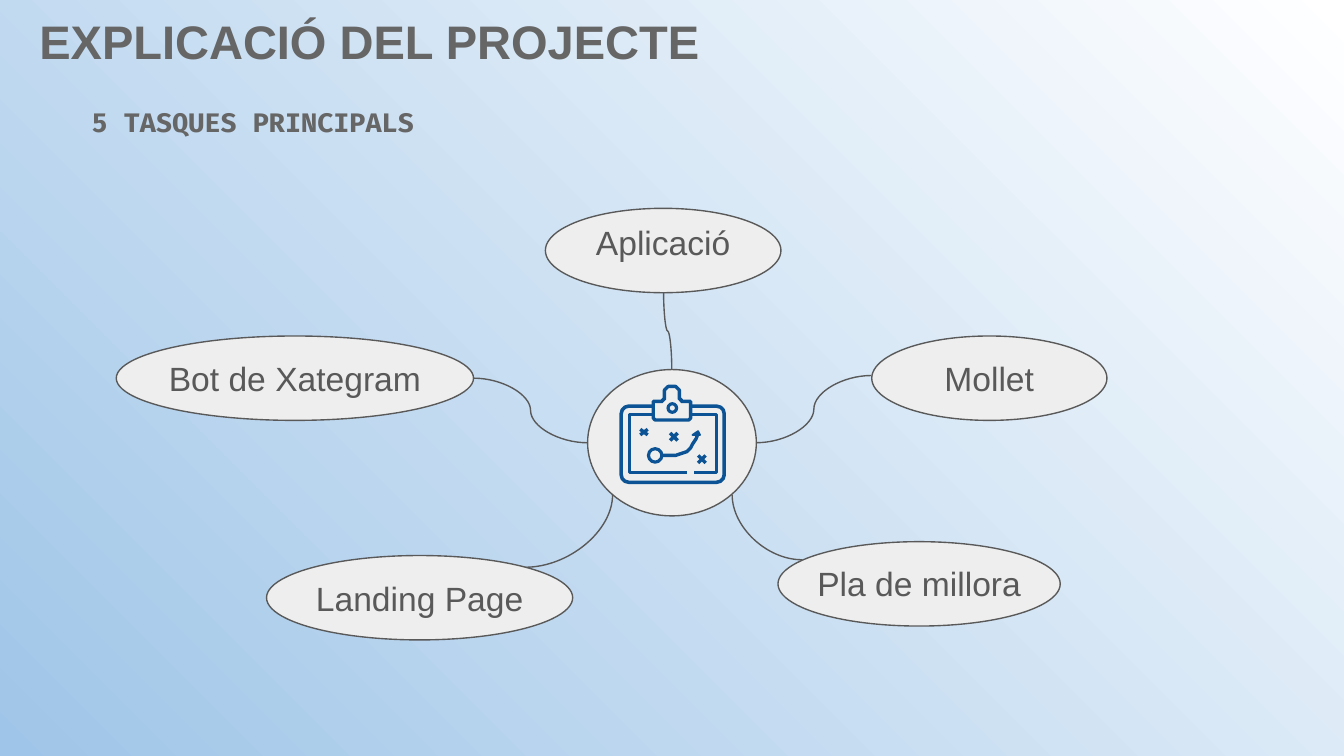
from lxml.etree import SubElement
from pptx import Presentation
from pptx.dml.color import RGBColor
from pptx.enum.shapes import MSO_CONNECTOR, MSO_SHAPE
from pptx.enum.text import MSO_ANCHOR, PP_ALIGN
from pptx.oxml.ns import qn
from pptx.util import Pt

COLOURS = {
    "light": "FFFFFF",
    "sky": "9FC5E8",
    "node": "EEEEEE",
    "outline": "595959",
    "heading": "666666",
    "icon": "0B5394",
}


def colour(name):
    return RGBColor.from_string(COLOURS[name])


def bend(start, control, end, steps=8):
    points = []
    for step in range(steps + 1):
        t = step / steps
        points.append(tuple(
            (1 - t) ** 2 * a + 2 * t * (1 - t) * b + t ** 2 * c
            for a, b, c in zip(start, control, end)
        ))
    return points


class Sketch:
    label = {"name": "Arial", "size": Pt(18), "bold": False}
    title = {"name": "Arial", "size": Pt(25.2), "bold": True}
    subtitle = {"name": "Fira Code", "size": Pt(14), "bold": True}
    line_width = 0.75

    def __init__(self, page):
        self.page = page

    def background(self, start, end, angle):
        fill = self.page.background.fill
        fill.gradient()
        fill.gradient_angle = angle
        for stop, name in zip(fill.gradient_stops, (start, end)):
            stop.color.rgb = colour(name)

    def paint(self, shape, fill, line, width):
        shape.shadow.inherit = False
        if fill:
            shape.fill.solid()
            shape.fill.fore_color.rgb = colour(fill)
        else:
            shape.fill.background()
        if line:
            shape.line.color.rgb = colour(line)
            shape.line.width = Pt(width)
        else:
            shape.line.fill.background()
        return shape

    def shape(self, kind, left, top, width, height, fill="node", line="outline", weight=line_width):
        shape = self.page.shapes.add_shape(kind, Pt(left), Pt(top), Pt(width), Pt(height))
        return self.paint(shape, fill, line, weight)

    def outline(self, points, closed=False, fill=None, line="icon", weight=1.8):
        builder = self.page.shapes.build_freeform(*points[0], scale=Pt(1))
        builder.add_line_segments(points[1:], close=closed)
        return self.paint(builder.convert_to_shape(), fill, line, weight)

    def text(self, words, left, top, width, height, style, ink, align=PP_ALIGN.CENTER, inset=7.2):
        box = self.page.shapes.add_textbox(Pt(left), Pt(top), Pt(width), Pt(height))
        frame = box.text_frame
        settings = {
            "word_wrap": True,
            "vertical_anchor": MSO_ANCHOR.TOP,
            "margin_left": Pt(7.2),
            "margin_right": Pt(7.2),
            "margin_top": Pt(inset),
            "margin_bottom": Pt(7.2),
        }
        for key, value in settings.items():
            setattr(frame, key, value)
        para = frame.paragraphs[0]
        para.alignment = align
        span = para.add_run()
        span.text = words
        for key, value in style.items():
            setattr(span.font, key, value)
        span.font.color.rgb = colour(ink)

    def curve(self, begin, end, preset="curvedConnector3", turn=0):
        connector = self.page.shapes.add_connector(
            MSO_CONNECTOR.CURVE, *(Pt(value) for value in (*begin, *end))
        )
        connector.line.color.rgb = colour("outline")
        connector.line.width = Pt(self.line_width)
        properties = connector._element.spPr
        properties.find(qn("a:prstGeom")).set("prst", preset)
        if turn:
            properties.find(qn("a:xfrm")).set("rot", str(turn * 60000))
        SubElement(properties, qn("a:effectLst"))

    def clipboard(self):
        pen = {"fill": None, "line": "icon"}
        board = self.shape(MSO_SHAPE.ROUNDED_RECTANGLE, 332.8, 217.6, 55.2, 40.8, weight=1.9, **pen)
        board.adjustments[0] = 0.1
        self.outline([(371.5, 253.4), (384, 253.4), (384, 222.2), (337, 222.2),
                      (337, 253.4), (368.5, 253.4)], weight=1.6)
        half = [
            *bend((360, 206.9), (355.8, 206.9), (355.8, 211.2)),
            *bend((355.8, 213), (355.8, 215.3), (352.5, 215.3)),
            *bend((351, 215.3), (349.5, 215.3), (349.5, 217)),
            *bend((349.5, 223), (349.5, 224.7), (351.5, 224.7)),
        ]
        mirrored = [(720 - x, y) for x, y in reversed(half)]
        self.outline(half + mirrored, closed=True, fill="node")
        for left, top, size in ((357.9, 216.3, 4.6), (347.4, 240.4, 7.2)):
            self.shape(MSO_SHAPE.OVAL, left, top, size, size, weight=1.7, **pen)
        self.outline(bend((354.8, 244.2), (371, 245.5), (373.6, 231.5)))
        self.outline([(371.3, 232.6), (373.8, 230.6), (375, 233.4)],
                     closed=True, fill="icon", weight=1)
        for x, y in ((345.2, 231.4), (360.7, 233.8), (376.3, 245.6)):
            for slope in (-1, 1):
                self.outline([(x - 1.9, y - 1.9 * slope), (x + 1.9, y + 1.9 * slope)])


def main():
    deck = Presentation()
    deck.slide_width, deck.slide_height = Pt(720), Pt(405)
    sketch = Sketch(deck.slides.add_slide(deck.slide_layouts[6]))
    sketch.background("light", "sky", 225)

    node_height, label_width, label_height = 45.2, 158, 36
    nodes = [
        ("Mollet", 467, 180, 126, 4.3),
        ("Pla de millora", 416.8, 290.2, 151.2, 4.3),
        ("Landing Page", 142.8, 297.6, 164, 4.8),
        ("Bot de Xategram", 62.3, 180, 191.4, 4.3),
        ("Aplicació", 292.2, 111.6, 126.2, 0),
    ]
    sketch.shape(MSO_SHAPE.OVAL, 314.8, 198, 90.4, 78.4)
    for words, left, top, width, drop in nodes:
        sketch.shape(MSO_SHAPE.OVAL, left, top, width, node_height)

    sketch.text("EXPLICACIÓ DEL PROJECTE", -137.5, -0.5, 671, 45, sketch.title, "heading")
    sketch.text("5 TASQUES PRINCIPALS", 42, 52.5, 262, 42, sketch.subtitle, "heading",
                align=PP_ALIGN.LEFT, inset=4.5)
    sketch.clipboard()
    for words, left, top, width, drop in nodes:
        sketch.text(words, left + (width - label_width) / 2, top + drop,
                    label_width, label_height, sketch.label, "outline")

    sketch.curve((253.7, 202.6), (314.8, 237.2))
    sketch.curve((466.8, 201.2), (405.2, 237.2))
    sketch.curve((328.2, 265), (281.2, 303.9), "curvedConnector2", 180)
    sketch.curve((428.3, 263.8), (393.5, 301.2), "curvedConnector2", 270)
    sketch.curve((378.4, 175.2), (336.9, 179.6), turn=270)

    deck.save("out.pptx")


if __name__ == "__main__":
    main()
